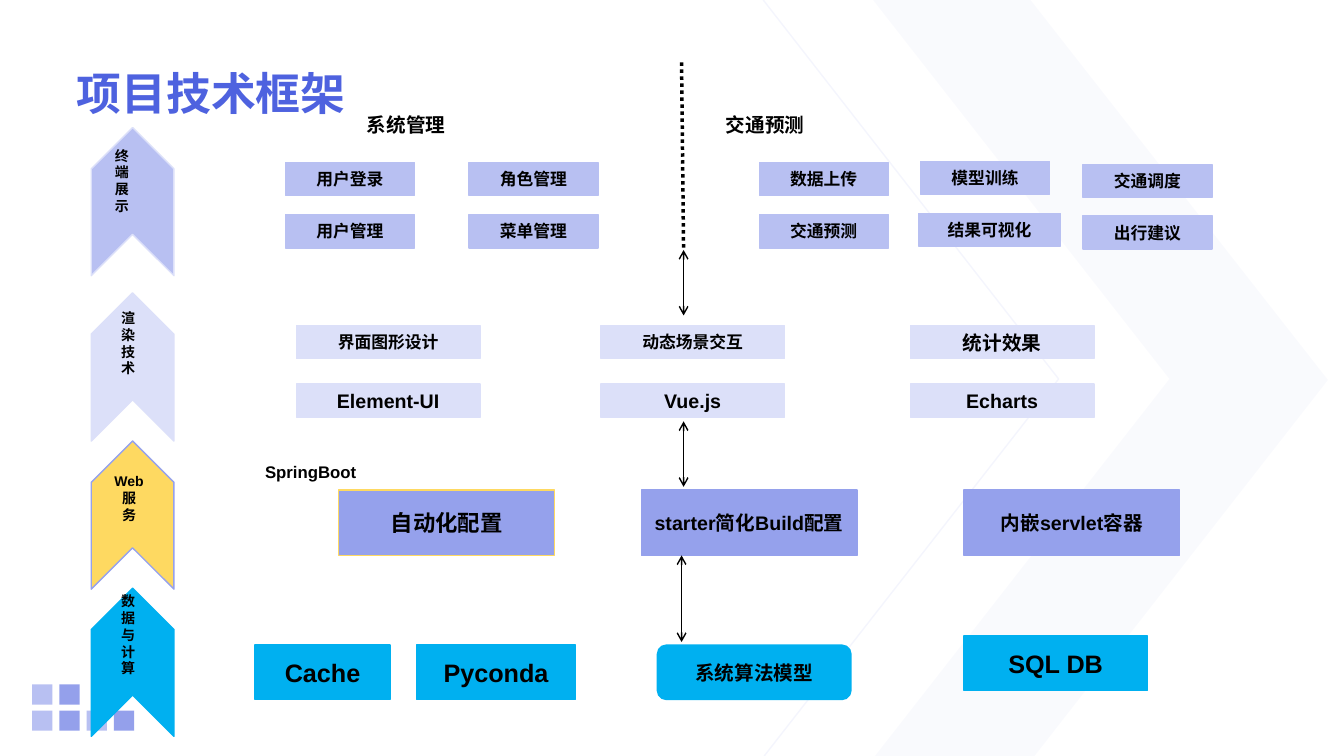
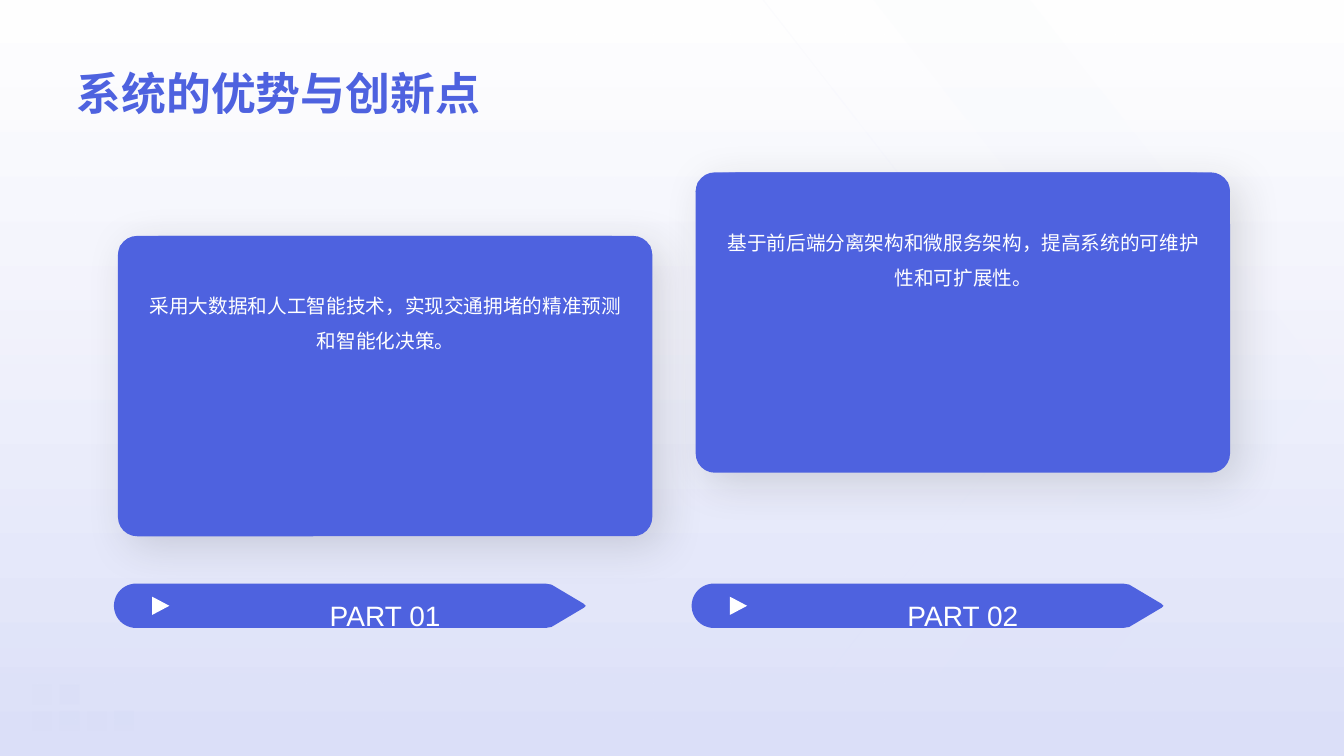
from dataclasses import dataclass
from math import cos, pi, sin
from typing import Optional

from lxml.etree import SubElement
from pptx import Presentation
from pptx.dml.color import RGBColor
from pptx.enum.dml import MSO_LINE
from pptx.enum.shapes import MSO_CONNECTOR as Connector, MSO_SHAPE as Preset
from pptx.enum.text import MSO_ANCHOR as Anchor, PP_ALIGN as Align
from pptx.oxml.ns import qn
from pptx.util import Inches, Pt

FONT = "Arial"
INDIGO = RGBColor(0x4E, 0x62, 0xDF)
PERIWINKLE = RGBColor(0x95, 0xA1, 0xEC)
LILAC = RGBColor(0xB8, 0xC0, 0xF2)
MIST = RGBColor(0xDC, 0xE0, 0xF9)
YELLOW = RGBColor(0xFE, 0xD9, 0x61)
SKY = RGBColor(0x00, 0xB0, 0xF0)
SHADOW = RGBColor(0x26, 0x26, 0x26)
BLACK = RGBColor(0, 0, 0)
WHITE = RGBColor(0xFF, 0xFF, 0xFF)

Points = list[tuple[float, float]]


@dataclass(frozen=True)
class Layer:
    """One arrow of the left column with its vertical label."""
    lines: tuple[str, ...]
    top: float
    fill: RGBColor
    line: RGBColor
    label_center: float
    label_top: float


@dataclass(frozen=True)
class BoxStyle:
    width: float
    height: float
    fill: RGBColor


@dataclass(frozen=True)
class Box:
    text: str
    left: float
    top: float
    style: BoxStyle
    size: int = 12
    line: Optional[RGBColor] = None
    preset: Preset = Preset.RECTANGLE


@dataclass(frozen=True)
class Advantage:
    text: str
    banner: str
    left: float
    top: float


DISPLAY = BoxStyle(1.28, 0.33, LILAC)
RESULT = BoxStyle(1.41, 0.32, LILAC)
RENDER = BoxStyle(1.82, 0.33, MIST)
SERVICE = BoxStyle(2.14, 0.65, PERIWINKLE)

LAYERS = [
    Layer(("终", "端", "展", "示"), 1.59, LILAC, MIST, 1.21, 1.41),
    Layer(("渲", "染", "技", "术"), 3.23, MIST, MIST, 1.27, 3.02),
    Layer(("Web", "服", "务"), 4.7, YELLOW, PERIWINKLE, 1.28, 4.64),
    Layer(("数", "据", "与", "计", "算"), 6.16, SKY, SKY, 1.27, 5.83),
]

BOXES = [
    # Terminal display
    Box("用户登录", 2.83, 1.61, DISPLAY),
    Box("用户管理", 2.83, 2.13, DISPLAY),
    Box("角色管理", 4.65, 1.61, DISPLAY),
    Box("菜单管理", 4.65, 2.13, DISPLAY),
    Box("数据上传", 7.53, 1.61, DISPLAY),
    Box("交通预测", 7.53, 2.13, DISPLAY),
    Box("模型训练", 9.13, 1.6, DISPLAY),
    Box("结果可视化", 9.11, 2.12, RESULT),
    Box("交通调度", 10.74, 1.63, DISPLAY),
    Box("出行建议", 10.74, 2.14, DISPLAY),
    # Rendering
    Box("界面图形设计", 2.94, 3.23, RENDER),
    Box("动态场景交互", 5.96, 3.23, RENDER),
    Box("统计效果", 9.03, 3.23, RENDER, 14),
    Box("Element-UI", 2.94, 3.81, RENDER, 14),
    Box("Vue.js", 5.96, 3.81, RENDER, 14),
    Box("Echarts", 9.03, 3.81, RENDER, 14),
    # Web service
    Box("自动化配置", 3.36, 4.86, SERVICE, 16, YELLOW),
    Box("starter简化Build配置", 6.36, 4.86, SERVICE, 14),
    Box("内嵌servlet容器", 9.56, 4.86, SERVICE, 14),
    # Data and computing
    Box("Cache", 2.53, 6.4, BoxStyle(1.34, 0.54, SKY), 18),
    Box("Pyconda", 4.13, 6.4, BoxStyle(1.58, 0.54, SKY), 18),
    Box("系统算法模型", 6.52, 6.4, BoxStyle(1.92, 0.54, SKY), 14,
        preset=Preset.ROUNDED_RECTANGLE),
    Box("SQL DB", 9.56, 6.31, BoxStyle(1.82, 0.54, SKY), 18),
]

ADVANTAGES = [
    Advantage("采用大数据和人工智能技术，实现交通拥堵的精准预测和智能化决策。",
              "PART 01", 1.17, 2.34),
    Advantage("基于前后端分离架构和微服务架构，提高系统的可维护性和可扩展性。",
              "PART 02", 6.9, 1.71),
]


# Drawing helpers
def set_alpha(parent, percent: float) -> None:
    color = next(parent.iter(qn("a:srgbClr")))
    SubElement(color, qn("a:alpha"), val=str(round(percent * 1000)))


def paint(shape, fill: Optional[RGBColor], alpha: float = 100,
          line: Optional[RGBColor] = None) -> None:
    shape.shadow.inherit = False
    if fill is None:
        shape.fill.background()
    else:
        shape.fill.solid()
        shape.fill.fore_color.rgb = fill
        if alpha < 100:
            set_alpha(shape._element.spPr, alpha)
    if line is None:
        shape.line.fill.background()
    else:
        shape.line.color.rgb = line
        shape.line.width = Pt(1)


def add_preset(slide, preset: Preset, left: float, top: float, width: float,
               height: float, fill: RGBColor, alpha: float = 100,
               line: Optional[RGBColor] = None):
    shape = slide.shapes.add_shape(preset, Inches(left), Inches(top),
                                   Inches(width), Inches(height))
    paint(shape, fill, alpha, line)
    return shape


def add_outline(slide, points: Points, fill: Optional[RGBColor],
                alpha: float = 100, line: Optional[RGBColor] = None):
    corners = [(Inches(x), Inches(y)) for x, y in points]
    builder = slide.shapes.build_freeform(*corners[0])
    builder.add_line_segments(corners[1:], close=fill is not None)
    shape = builder.convert_to_shape()
    paint(shape, fill, alpha, line)
    return shape


def write(shape, text: str, size: int, color: RGBColor, bold: bool = False,
          align: Align = Align.LEFT, anchor: Anchor = Anchor.TOP,
          spacing: float = 1.0, inset: bool = True) -> None:
    frame = shape.text_frame
    frame.text = text
    frame.word_wrap = True
    frame.vertical_anchor = anchor
    if not inset:
        frame.margin_left = frame.margin_right = 0
        frame.margin_top = frame.margin_bottom = 0
    for paragraph in frame.paragraphs:
        paragraph.alignment = align
        paragraph.line_spacing = spacing
        for run in paragraph.runs:
            run.font.name = FONT
            run.font.size = Pt(size)
            run.font.bold = bold
            run.font.color.rgb = color


def add_text(slide, left: float, top: float, width: float, height: float,
             *args, **options) -> None:
    box = slide.shapes.add_textbox(Inches(left), Inches(top),
                                   Inches(width), Inches(height))
    write(box, *args, **options)


def add_line(slide, start: tuple[float, float], end: tuple[float, float],
             width: float, arrows: bool = False) -> None:
    connector = slide.shapes.add_connector(
        Connector.STRAIGHT, *map(Inches, start + end))
    connector.line.color.rgb = BLACK
    connector.line.width = Pt(width)
    properties = connector._element.spPr
    if arrows:
        for tip in ("a:headEnd", "a:tailEnd"):
            SubElement(properties.find(qn("a:ln")), qn(tip), type="arrow")
    else:
        connector.line.dash_style = MSO_LINE.ROUND_DOT
    SubElement(properties, qn("a:effectLst"))


# Shared backdrop and title
def add_backdrop(slide) -> None:
    edge = add_outline(slide, [(7.58, 7.5), (10.5, 3.76), (7.57, 0)],
                       None, line=INDIGO)
    set_alpha(edge._element.spPr.find(qn("a:ln")), 5)
    add_outline(slide, [(10.22, 0), (13.17, 3.77), (10.26, 7.5), (8.68, 7.5),
                        (11.6, 3.76), (8.66, 0)], INDIGO, 3)
    for column in range(4):
        for top in (6.79, 7.05) if column < 2 else (7.05,):
            add_preset(slide, Preset.RECTANGLE, 0.32 + 0.27 * column, top,
                       0.2, 0.2, INDIGO, 60 if column % 2 else 40)


def add_title(slide, text: str) -> None:
    add_text(slide, 0.76, 0.39, 11.81, 0.79, text, 32, INDIGO, bold=True,
             anchor=Anchor.BOTTOM, inset=False)


# Slide 1: technical framework
def add_layer(slide, layer: Layer) -> None:
    arrow = add_preset(slide, Preset.CHEVRON, 0.58, layer.top, 1.47, 0.82,
                       layer.fill, line=layer.line)
    arrow.rotation = 270


def add_layer_label(slide, layer: Layer) -> None:
    width = 0.6
    add_text(slide, layer.label_center - width / 2, layer.label_top, width, 1,
             "\n".join(layer.lines), 10, BLACK, bold=True, align=Align.CENTER)


def add_box(slide, box: Box) -> None:
    style = box.style
    shape = add_preset(slide, box.preset, box.left, box.top, style.width,
                       style.height, style.fill, line=box.line or style.fill)
    write(shape, box.text, box.size, BLACK, bold=True, align=Align.CENTER,
          anchor=Anchor.MIDDLE)


def build_framework(slide) -> None:
    add_backdrop(slide)
    add_title(slide, "项目技术框架")
    for layer in LAYERS:
        add_layer(slide, layer)
    for layer in LAYERS:
        add_layer_label(slide, layer)
    for box in BOXES:
        add_box(slide, box)
    for heading, left in (("系统管理", 3.54), ("交通预测", 7.1)):
        add_text(slide, left, 1.07, 1.4, 0.34, heading, 14, BLACK, bold=True)
    add_text(slide, 2.53, 4.53, 4.52, 0.3, "SpringBoot", 12, BLACK, bold=True)
    add_line(slide, (6.76, 0.62), (6.78, 2.48), 2.5)
    for x, top, bottom in ((6.78, 2.48, 3.13), (6.78, 4.18, 4.83),
                           (6.76, 5.51, 6.37)):
        add_line(slide, (x, top), (x, bottom), 1, arrows=True)


# Slide 2: advantages
def add_wash(slide) -> None:
    wash = add_preset(slide, Preset.RECTANGLE, -0.01, -0.01, 13.35, 7.51, WHITE)
    wash.fill.gradient()
    wash.fill.gradient_angle = 270
    for stop, color, position in zip(wash.fill.gradient_stops,
                                     (WHITE, MIST), (0, 1)):
        stop.color.rgb = color
        stop.position = position
    set_alpha(wash._element.spPr, 77)


def add_card(slide, left: float, top: float) -> None:
    width = 5.3
    card = add_preset(slide, Preset.ROUNDED_RECTANGLE, left, top, width, 2.98,
                      INDIGO)
    card.adjustments[0] = 0.064
    shadow = SubElement(card._element.spPr.find(qn("a:effectLst")),
                        qn("a:outerShdw"), blurRad=str(int(Pt(30))),
                        dist=str(int(Pt(10))), dir="2700000", algn="tl",
                        rotWithShape="0")
    SubElement(shadow, qn("a:srgbClr"), val=str(SHADOW))
    set_alpha(shadow, 15)
    # Cap along the upper edge
    curve = [(0, 0.19), (0.02, 0.1), (0.08, 0.05), (0.18, 0.01), (0.43, 0)]
    add_outline(slide, [(left + x, top + y) for x, y in curve]
                + [(left + width - x, top + y) for x, y in reversed(curve)],
                INDIGO)


def add_banner(slide, left: float, label: str) -> None:
    middle, radius, steps = 6.01, 0.22, 24
    cap = [(left + radius - radius * sin(pi * i / steps),
            middle + radius * cos(pi * i / steps)) for i in range(steps + 1)]
    tip = [(4.28, -0.22), (4.34, -0.21), (4.66, -0.02), (4.68, 0),
           (4.66, 0.02), (4.34, 0.21), (4.28, 0.22)]
    add_outline(slide, cap + [(left + x, middle + y) for x, y in tip], INDIGO)
    play = [(0.38, -0.09), (0.4, -0.08), (0.55, 0), (0.4, 0.08), (0.38, 0.09)]
    add_outline(slide, [(left + x, middle + y) for x, y in play], WHITE)
    add_text(slide, left + 1.52, 5.82, 2.34, 0.4, label, 20, WHITE,
             align=Align.CENTER, anchor=Anchor.MIDDLE, spacing=1.5, inset=False)


def build_advantages(slide) -> None:
    add_backdrop(slide)
    add_wash(slide)
    for advantage in ADVANTAGES:
        add_card(slide, advantage.left, advantage.top)
        add_text(slide, advantage.left + 0.3, advantage.top + 0.46, 4.71, 2.29,
                 advantage.text, 14, WHITE, align=Align.CENTER, spacing=1.5,
                 inset=False)
        add_banner(slide, advantage.left - 0.04, advantage.banner)
    add_title(slide, "系统的优势与创新点")


def main() -> None:
    deck = Presentation()
    deck.slide_width, deck.slide_height = Inches(13.33), Inches(7.5)
    for build in (build_framework, build_advantages):
        build(deck.slides.add_slide(deck.slide_layouts[6]))
    deck.save("out.pptx")


if __name__ == "__main__":
    main()
